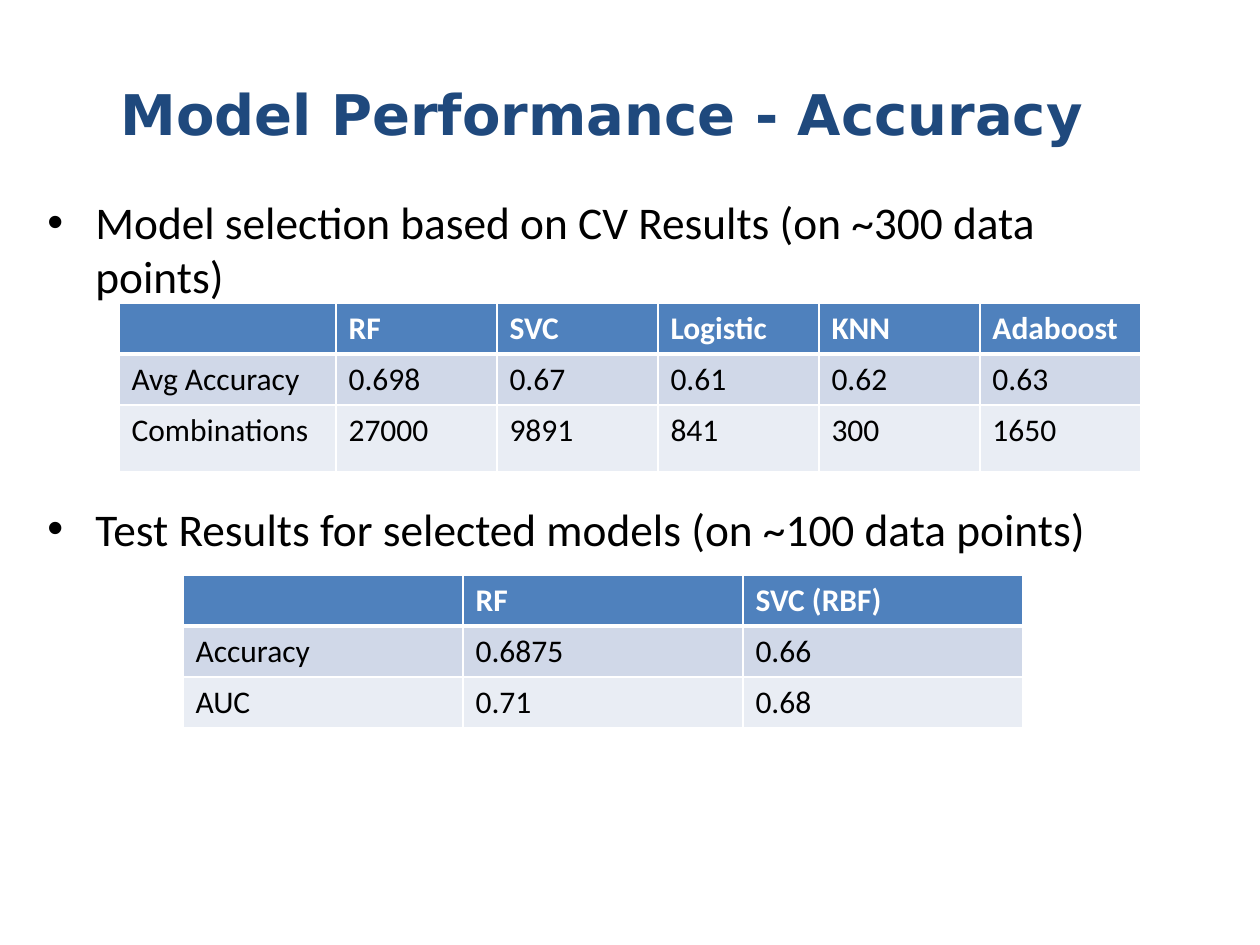
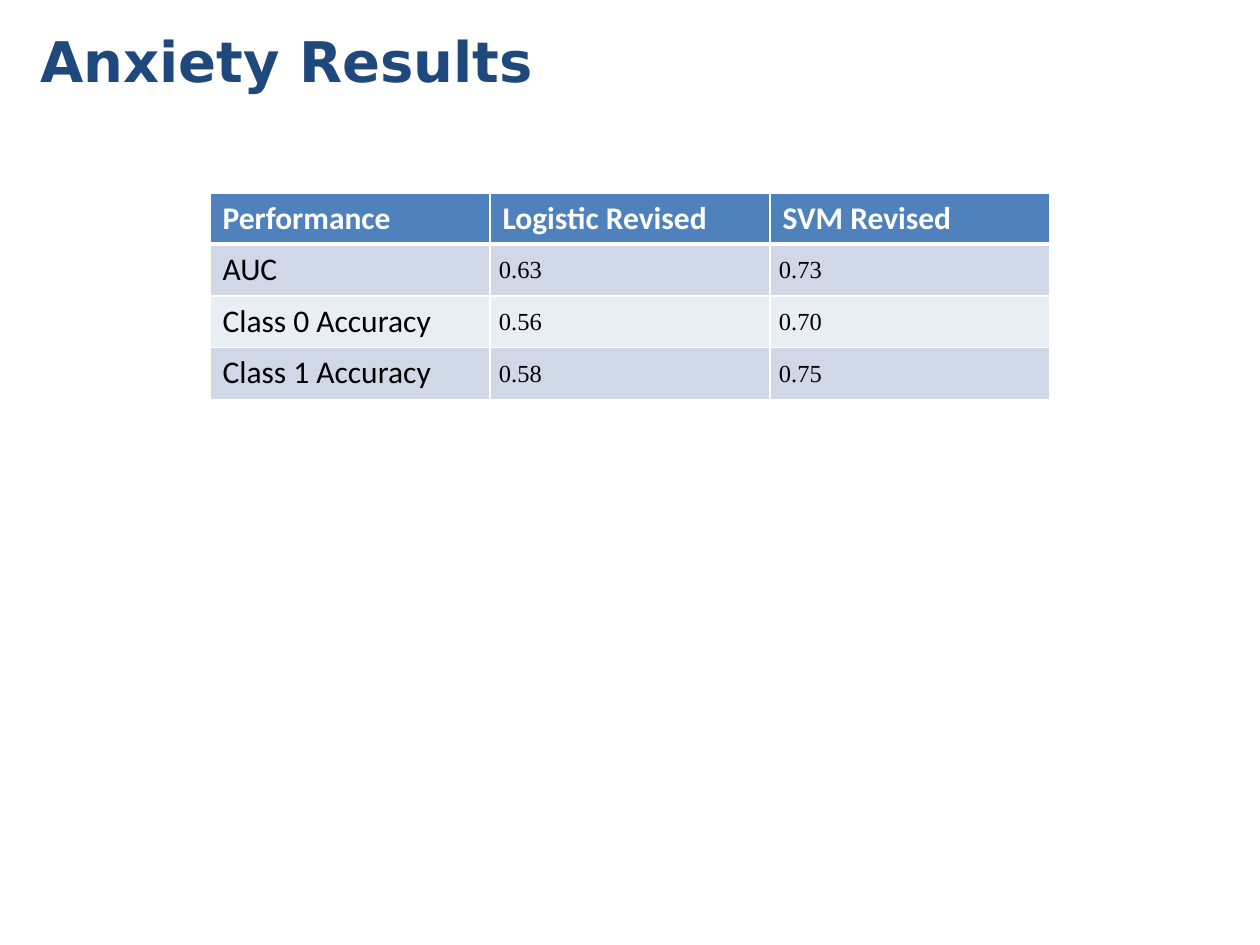
from dataclasses import dataclass

import pptx
import pptx.dml.color
import pptx.enum.text
import pptx.oxml
import pptx.oxml.ns
import pptx.util
from lxml import etree

EMU_PER_PX = 914400 / 126
ALIGN = pptx.enum.text.PP_ALIGN
ANCHOR = pptx.enum.text.MSO_ANCHOR


@dataclass(frozen=True)
class Theme:
    title_color: str = "1F497D"
    text_color: str = "000000"
    light: str = "FFFFFF"
    header_fill: str = "4F81BD"
    bands: tuple = ("D0D8E8", "E9EDF4")
    title_font: str = "DejaVu Sans"
    body_font: str = "Calibri"
    value_font: str = "Times New Roman"
    title_size: float = 32
    bullet_size: float = 25.9
    cell_size: float = 18
    value_size: float = 14
    thin_border: int = 1
    thick_border: int = 3


THEME = Theme()
ROW_HEIGHT = 51


def px(length):
    return pptx.util.Emu(round(length * EMU_PER_PX))


def style_runs(paragraph, font, size, color, bold=False):
    for run in paragraph.runs:
        run.font.name = font
        run.font.size = pptx.util.Pt(size)
        run.font.bold = bold
        run.font.color.rgb = pptx.dml.color.RGBColor.from_string(color)


def add_text_box(slide, left, top, width, height):
    shape = slide.shapes.add_textbox(px(left), px(top), px(width), px(height))
    shape.text_frame.word_wrap = True
    return shape.text_frame


def add_title(slide, text, left, top, alignment):
    text_frame = add_text_box(slide, left, top, 1134, 158)
    text_frame.vertical_anchor = ANCHOR.MIDDLE
    text_frame.text = text
    paragraph = text_frame.paragraphs[0]
    paragraph.alignment = alignment
    style_runs(paragraph, THEME.title_font, THEME.title_size, THEME.title_color, bold=True)


def add_bullets(slide, texts, left, top, width, height, gap):
    """Add bulleted paragraphs, with gap px between one and the next."""
    text_frame = add_text_box(slide, left, top, width, height)
    text_frame.text = "\n".join(texts)
    for index, paragraph in enumerate(text_frame.paragraphs):
        properties = paragraph._p.get_or_add_pPr()
        properties.set("marL", str(px(48)))
        properties.set("indent", str(-px(48)))
        if index:
            paragraph.space_before = px(gap)
        font = etree.SubElement(properties, pptx.oxml.ns.qn("a:buFont"))
        font.set("typeface", "Arial")
        bullet = etree.SubElement(properties, pptx.oxml.ns.qn("a:buChar"))
        bullet.set("char", "•")
        style_runs(paragraph, THEME.body_font, THEME.bullet_size, THEME.text_color)


def set_borders(cell, top, bottom):
    """Draw light borders; top and bottom are widths in points."""
    properties = cell._tc.get_or_add_tcPr()
    widths = {"lnL": THEME.thin_border, "lnR": THEME.thin_border, "lnT": top, "lnB": bottom}
    for tag, width in widths.items():
        line = etree.SubElement(properties, pptx.oxml.ns.qn(f"a:{tag}"))
        line.set("w", str(pptx.util.Pt(width)))
        fill = etree.SubElement(line, pptx.oxml.ns.qn("a:solidFill"))
        etree.SubElement(fill, pptx.oxml.ns.qn("a:srgbClr")).set("val", THEME.light)


def fill_cell(cell, text, row):
    is_header = row == 0
    set_borders(
        cell,
        top=THEME.thick_border if row == 1 else THEME.thin_border,
        bottom=THEME.thick_border if is_header else THEME.thin_border,
    )
    color = THEME.header_fill if is_header else THEME.bands[(row - 1) % 2]
    cell.fill.solid()
    cell.fill.fore_color.rgb = pptx.dml.color.RGBColor.from_string(color)
    cell.text_frame.text = text
    style_runs(
        cell.text_frame.paragraphs[0],
        THEME.body_font,
        THEME.cell_size,
        THEME.light if is_header else THEME.text_color,
        bold=is_header,
    )


def add_table(slide, rows, left, top, column_widths, row_heights):
    shape = slide.shapes.add_table(
        len(rows), len(column_widths), px(left), px(top),
        px(sum(column_widths)), px(sum(row_heights)),
    )
    table = shape.table
    for column, width in zip(table.columns, column_widths):
        column.width = px(width)
    for row_index, (texts, height) in enumerate(zip(rows, row_heights)):
        table.rows[row_index].height = px(height)
        for column_index, text in enumerate(texts):
            fill_cell(table.cell(row_index, column_index), text, row_index)
    return table


def set_values_in_serif(table):
    """Restyle every cell that is outside the header row and the label column."""
    for row in list(table.rows)[1:]:
        for cell in list(row.cells)[1:]:
            cell.margin_left = cell.margin_right = px(9)
            cell.margin_top = cell.margin_bottom = px(9)
            paragraph = cell.text_frame.paragraphs[0]
            paragraph.line_spacing = 1.15
            style_runs(paragraph, THEME.value_font, THEME.value_size, THEME.text_color)


def add_accuracy_slide(presentation):
    slide = presentation.slides.add_slide(presentation.slide_layouts[6])
    add_title(slide, "Model Performance - Accuracy", 35, 34, ALIGN.CENTER)
    add_bullets(
        slide,
        [
            "Model selection based on CV Results (on ~300 data points)",
            "Test Results for selected models (on ~100 data points)",
        ],
        35, 188, 1134, 352, gap=198,
    )
    cross_validation = [
        ["", "RF", "SVC", "Logistic", "KNN", "Adaboost"],
        ["Avg Accuracy", "0.698", "0.67", "0.61", "0.62", "0.63"],
        ["Combinations", "27000", "9891", "841", "300", "1650"],
    ]
    add_table(slide, cross_validation, 119, 303, [217] + [161] * 5, [ROW_HEIGHT, ROW_HEIGHT, 67])
    test_results = [
        ["", "RF", "SVC (RBF)"],
        ["Accuracy", "0.6875", "0.66"],
        ["AUC", "0.71", "0.68"],
    ]
    add_table(slide, test_results, 183, 575, [280] * 3, [ROW_HEIGHT] * 3)


def add_anxiety_slide(presentation):
    slide = presentation.slides.add_slide(presentation.slide_layouts[6])
    add_title(slide, "Anxiety Results", 28, -19, ALIGN.LEFT)
    performance = [
        ["Performance", "Logistic Revised", "SVM Revised"],
        ["AUC", "0.63", "0.73"],
        ["Class 0 Accuracy", "0.56", "0.70"],
        ["Class 1 Accuracy", "0.58", "0.75"],
    ]
    set_values_in_serif(add_table(slide, performance, 210, 193, [280] * 3, [ROW_HEIGHT] * 4))


def main():
    presentation = pptx.Presentation()
    presentation.slide_width = px(1260)
    presentation.slide_height = px(945)
    add_accuracy_slide(presentation)
    add_anxiety_slide(presentation)
    presentation.save("out.pptx")


if __name__ == "__main__":
    main()
